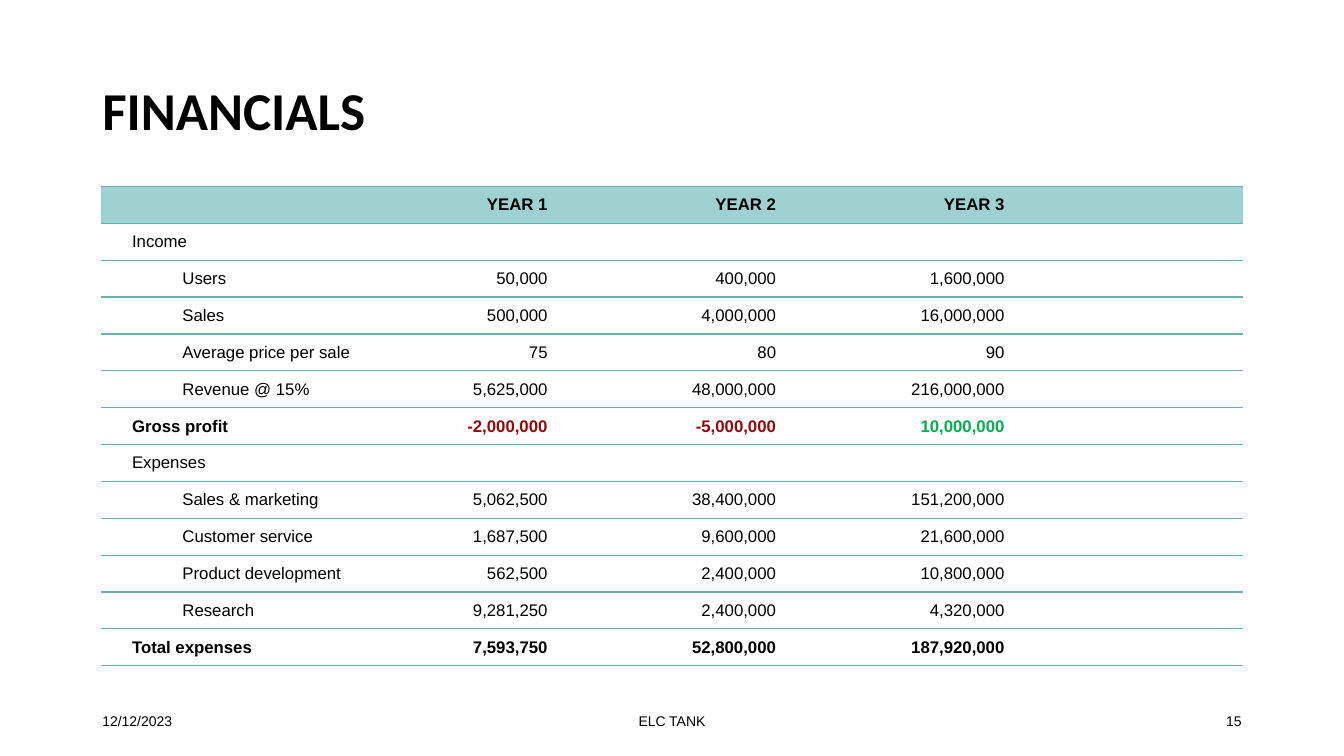
"""Build the financials slide: title, three-year table and footer."""
from dataclasses import dataclass
from typing import Optional

from lxml.etree import SubElement as Sub
from pptx import Presentation
from pptx.dml.color import RGBColor
from pptx.enum.text import MSO_ANCHOR as Anchor, PP_ALIGN as Align
from pptx.oxml.ns import qn
from pptx.util import Inches, Pt

BLACK = RGBColor(0x00, 0x00, 0x00)
TEAL = RGBColor(0x66, 0xB2, 0xB0)
PALE = RGBColor(0x9F, 0xD1, 0xD0)
RED = RGBColor(0x93, 0x0A, 0x0D)
GREEN = RGBColor(0x00, 0xB0, 0x50)

WIDE, HIGH = Inches(13.333), Inches(7.5)
COLS, ROWS = 160, 150
PLAIN = "{2D5ABB26-0587-4C30-8999-92F81FD0307C}"
SPANS = (35.4, 19, 27.2, 27.2, 27.2)
STEP = 7.32
INSET, INDENT = 3.72, 6


@dataclass(frozen=True)
class Label:
    text: str
    left: float
    top: float
    width: float
    height: float
    align: Align = Align.LEFT
    size: int = 10
    face: str = "Arial"
    bold: bool = False
    lead: float = 1.0


@dataclass(frozen=True)
class Row:
    name: str
    sums: tuple = ("", "", "")
    level: int = 1
    bold: bool = False
    tints: tuple = (BLACK, BLACK, BLACK)
    fill: Optional[RGBColor] = None


LABELS = (
    Label("FINANCIALS", 11, 8, 138, 29, size=38, face="Calibri", bold=True, lead=0.9),
    Label("12/12/2023", 11, 139, 36, 8),
    Label("ELC TANK", 53, 139, 54, 8, Align.CENTER),
    Label("15", 113, 139, 36, 8, Align.RIGHT),
)

LINES = (
    Row("", ("YEAR 1", "YEAR 2", "YEAR 3"), 0, True, fill=PALE),
    Row("Income", level=0),
    Row("Users", ("50,000", "400,000", "1,600,000")),
    Row("Sales", ("500,000", "4,000,000", "16,000,000")),
    Row("Average price per sale", ("75", "80", "90")),
    Row("Revenue @ 15%", ("5,625,000", "48,000,000", "216,000,000")),
    Row("Gross profit", ("-2,000,000", "-5,000,000", "10,000,000"), 0, True,
        (RED, RED, GREEN)),
    Row("Expenses", level=0),
    Row("Sales & marketing", ("5,062,500", "38,400,000", "151,200,000")),
    Row("Customer service", ("1,687,500", "9,600,000", "21,600,000")),
    Row("Product development", ("562,500", "2,400,000", "10,800,000")),
    Row("Research", ("9,281,250", "2,400,000", "4,320,000")),
    Row("Total expenses", ("7,593,750", "52,800,000", "187,920,000"), 0, True),
)


def across(count: float) -> int:
    return round(WIDE * count / COLS)


def down(count: float) -> int:
    return round(HIGH * count / ROWS)


def write(para, text: str, size: int, face: str, bold: bool, tint: RGBColor) -> None:
    run = para.add_run()
    run.text = text
    font = run.font
    font.size, font.name, font.bold = Pt(size), face, bold
    font.color.rgb = tint


def draw_label(slide, label: Label) -> None:
    box = slide.shapes.add_textbox(across(label.left), down(label.top),
                                   across(label.width), down(label.height))
    frame = box.text_frame
    frame.word_wrap = True
    frame.vertical_anchor = Anchor.MIDDLE
    para = frame.paragraphs[0]
    para.alignment, para.line_spacing = label.align, label.lead
    write(para, label.text, label.size, label.face, label.bold, BLACK)


def rule(cell, sides: tuple) -> None:
    props = cell._tc.get_or_add_tcPr()
    for side in sides:
        line = Sub(props, qn(f"a:{side}"), w=str(Pt(1)))
        Sub(Sub(line, qn("a:solidFill")), qn("a:srgbClr"), val=str(TEAL))


def draw_cell(cell, row: Row, text: str, tint: RGBColor, first: bool) -> None:
    rule(cell, ("lnT", "lnB"))
    if row.fill is None:
        cell.fill.background()
    else:
        cell.fill.solid()
        cell.fill.fore_color.rgb = row.fill
    cell.vertical_anchor = Anchor.MIDDLE
    para = cell.text_frame.paragraphs[0]
    para.alignment = Align.LEFT if first else Align.RIGHT
    if first:
        cell.margin_left = across(INSET)
        para.level = row.level
        props = para._p.get_or_add_pPr()
        props.set("marL", str(across(INDENT * row.level)))
        props.set("indent", "0")
    if text:
        write(para, text, 12, "Arial", row.bold, tint)
    else:
        Sub(para._p, qn("a:endParaRPr"), sz="1200")


def draw_table(slide) -> None:
    frame = slide.shapes.add_table(len(LINES), len(SPANS), across(12), down(37),
                                   across(sum(SPANS)), down(STEP * len(LINES)))
    table = frame.table
    table.first_row = table.horz_banding = False
    table._tbl.tblPr.find(qn("a:tableStyleId")).text = PLAIN
    for col, span in zip(table.columns, SPANS):
        col.width = across(span)
    for band, row in zip(table.rows, LINES):
        band.height = down(STEP)
        texts = (row.name, *row.sums, "")
        tints = (BLACK, *row.tints, BLACK)
        for spot, (cell, text, tint) in enumerate(zip(band.cells, texts, tints)):
            draw_cell(cell, row, text, tint, spot == 0)


def main() -> None:
    deck = Presentation()
    deck.slide_width, deck.slide_height = WIDE, HIGH
    slide = deck.slides.add_slide(deck.slide_layouts[6])
    draw_table(slide)
    for label in LABELS:
        draw_label(slide, label)
    deck.save("out.pptx")


if __name__ == "__main__":
    main()
